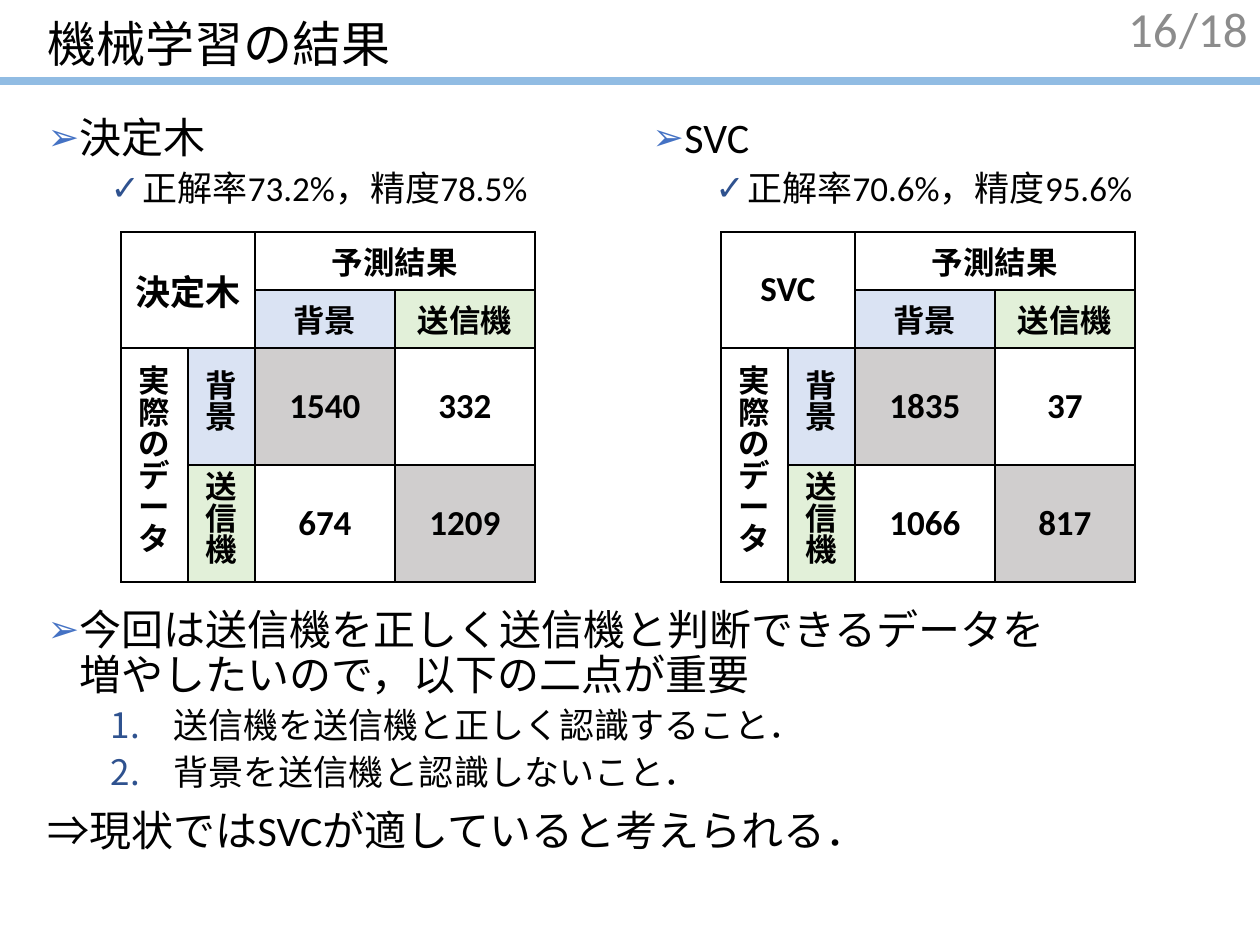
"""Build the slide that compares two classifiers by their confusion matrices."""
from lxml.etree import SubElement
from pptx import Presentation
from pptx.dml.color import RGBColor
from pptx.enum.lang import MSO_LANGUAGE_ID
from pptx.enum.shapes import MSO_CONNECTOR
from pptx.enum.text import MSO_ANCHOR, MSO_AUTO_SIZE, PP_ALIGN
from pptx.oxml.ns import qn
from pptx.util import Emu, Pt

BLACK = RGBColor(0x00, 0x00, 0x00)
GRAY = RGBColor(0x8C, 0x8C, 0x8C)
RULE_BLUE = RGBColor(0x91, 0xBC, 0xE3)
ARROW_BLUE = RGBColor(0x44, 0x72, 0xC4)
CHECK_BLUE = RGBColor(0x2F, 0x52, 0x8F)
BACKGROUND_FILL = RGBColor(0xDA, 0xE3, 0xF3)
SENDER_FILL = RGBColor(0xE2, 0xF0, 0xD9)
HIT_FILL = RGBColor(0xD0, 0xCE, 0xCE)
FONT = "Calibri"

# kind: (level, text size, left margin, hanging indent, space before,
#        bullet tag, bullet attributes, bullet colour, bullet size)
LIST_STYLES = {
    "arrow": (0, 24, 32, 32, 10, "a:buChar", {"char": "➢"}, ARROW_BLUE, 90),
    "check": (1, 20, 95, 32, 5, "a:buChar", {"char": "✓"}, CHECK_BLUE, 100),
    "number": (1, 20, 126, 63, 5, "a:buAutoNum", {"type": "arabicPeriod"}, CHECK_BLUE, 100),
    "plain": (0, 24, 0, 0, 10, "a:buNone", {}, None, 100),
}


def px(n):
    """Turn pixels into EMU at 126 pixels to the inch."""
    return Emu(round(n * 914400 / 126))


def place(s, left, top, width, height):
    """Move and size a shape."""
    s.left, s.top, s.width, s.height = px(left), px(top), px(width), px(height)


def format_runs(p, size, color=BLACK, bold=False):
    """Format every run of a paragraph."""
    for r in p.runs:
        r.font.name, r.font.size, r.font.bold = FONT, Pt(size), bold
        r.font.color.rgb = color


def add_bullet(p, kind):
    """Give a paragraph the indents and bullet of a list kind."""
    _, _, margin, hanging, _, tag, attributes, color, size = LIST_STYLES[kind]
    pPr = p._p.get_or_add_pPr()
    pPr.set("marL", str(px(margin)))
    pPr.set("indent", str(-px(hanging)))
    if color is not None:
        SubElement(SubElement(pPr, qn("a:buClr")), qn("a:srgbClr"), val=str(color))
        SubElement(pPr, qn("a:buSzPct"), val=str(size * 1000))
        SubElement(pPr, qn("a:buFont"), typeface="Arial")
    SubElement(pPr, qn(tag), **attributes)


def fill_list(s, box, items):
    """Write (kind, text) items into a placed shape."""
    place(s, *box)
    tf = s.text_frame
    tf.word_wrap, tf.auto_size = True, MSO_AUTO_SIZE.NONE
    for i, (kind, text) in enumerate(items):
        p = tf.add_paragraph() if i else tf.paragraphs[0]
        level, size, _, _, before, *_ = LIST_STYLES[kind]
        p.text, p.level = text, level
        add_bullet(p, kind)
        p.line_spacing = 0.9
        p.space_before = Pt(before if i else 0)
        format_runs(p, size)


def set_title(s, text):
    """Write and format the slide title."""
    place(s, 35, 0, 1138, 93)
    tf = s.text_frame
    tf.text = text
    tf.vertical_anchor, tf.auto_size = MSO_ANCHOR.MIDDLE, MSO_AUTO_SIZE.NONE
    p = tf.paragraphs[0]
    p.alignment, p.line_spacing = PP_ALIGN.LEFT, 0.9
    format_runs(p, 28)


def add_page_text(slide, text, left, width):
    """Add a right-aligned part of the page number."""
    tf = slide.shapes.add_textbox(px(left), px(3), px(width), px(50)).text_frame
    tf.text = text
    tf.word_wrap, tf.vertical_anchor = True, MSO_ANCHOR.MIDDLE
    tf.paragraphs[0].alignment = PP_ALIGN.RIGHT
    format_runs(tf.paragraphs[0], 28, GRAY)


def add_rule(slide):
    """Draw the line under the title."""
    line = slide.shapes.add_connector(MSO_CONNECTOR.STRAIGHT, 0, px(81), px(1260), px(81))
    line.line.color.rgb, line.line.width = RULE_BLUE, Pt(4.5)
    SubElement(line._element.spPr, qn("a:effectLst"))


def style_cell(cell):
    """Clear a cell's fill and draw its four borders."""
    cell.fill.background()
    tcPr = cell._tc.get_or_add_tcPr()
    for i, side in enumerate(("lnL", "lnR", "lnT", "lnB")):
        ln = SubElement(tcPr, qn(f"a:{side}"), w=str(Pt(1)))
        SubElement(SubElement(ln, qn("a:solidFill")), qn("a:srgbClr"), val=str(BLACK))
        tcPr.insert(i, ln)


def set_cell(cell, text, size=18, fill=None):
    """Write a bold centred label or value into a cell."""
    cell.text = text
    cell.vertical_anchor = MSO_ANCHOR.MIDDLE
    p = cell.text_frame.paragraphs[0]
    p.alignment = PP_ALIGN.CENTER
    format_runs(p, size, bold=True)
    if fill is not None:
        cell.fill.solid()
        cell.fill.fore_color.rgb = fill


def set_vertical_cell(cell, text, fill=None):
    """Write a label that runs downwards, with tight pitch and narrow margins."""
    set_cell(cell, text, fill=fill)
    cell.margin_left = cell.margin_right = cell.margin_top = cell.margin_bottom = px(6)
    cell._tc.get_or_add_tcPr().set("vert", "eaVert")
    cell.text_frame._txBody.bodyPr.set("vert", "eaVert")
    p = cell.text_frame.paragraphs[0]
    p.line_spacing = Pt(18)
    p.runs[0].font.language_id = MSO_LANGUAGE_ID.JAPANESE


def add_matrix(slide, left, name, counts):
    """Add a confusion matrix with predictions across and true classes down."""
    widths, heights = (67, 67, 140, 140), (58, 58, 117, 117)
    table = slide.shapes.add_table(
        4, 4, px(left), px(232), px(sum(widths)), px(sum(heights))).table
    table.first_row = table.horz_banding = False
    for column, width in zip(table.columns, widths):
        column.width = px(width)
    for row, height in zip(table.rows, heights):
        row.height = px(height)
    for cell in table.iter_cells():
        style_cell(cell)
    for first, last in (((0, 0), (1, 1)), ((0, 2), (0, 3)), ((2, 0), (3, 0))):
        table.cell(*first).merge(table.cell(*last))
    set_cell(table.cell(0, 0), name, 20)
    set_cell(table.cell(0, 2), "予測結果")
    set_vertical_cell(table.cell(2, 0), "実際のデータ")
    classes = (("背景", BACKGROUND_FILL), ("送信機", SENDER_FILL))
    for i, (label, fill) in enumerate(classes):
        set_cell(table.cell(1, 2 + i), label, fill=fill)
        set_vertical_cell(table.cell(2 + i, 1), label, fill)
        for j, count in enumerate(counts[i]):
            set_cell(table.cell(2 + i, 2 + j), str(count), 20, HIT_FILL if i == j else None)


def main():
    """Build and save the slide."""
    prs = Presentation()
    prs.slide_width, prs.slide_height = px(1260), px(945)
    slide = prs.slides.add_slide(prs.slide_layouts[3])
    add_rule(slide)
    add_page_text(slide, "/18", 1133, 127)
    add_page_text(slide, "16", 906, 284)
    set_title(slide.shapes.title, "機械学習の結果")
    fill_list(slide.placeholders[1], (35, 111, 580, 114),
              [("arrow", "決定木"), ("check", "正解率73.2%，精度78.5%")])
    fill_list(slide.shapes.add_textbox(0, 0, 0, 0), (640, 111, 580, 114),
              [("arrow", "SVC"), ("check", "正解率70.6%，精度95.6%")])
    fill_list(slide.placeholders[2], (35, 603, 1043, 270), [
        ("arrow", "今回は送信機を正しく送信機と判断できるデータを増やしたいので，以下の二点が重要"),
        ("number", "送信機を送信機と正しく認識すること．"),
        ("number", "背景を送信機と認識しないこと．"),
        ("plain", "⇒現状ではSVCが適していると考えられる．"),
    ])
    add_matrix(slide, 121, "決定木", ((1540, 332), (674, 1209)))
    add_matrix(slide, 721, "SVC", ((1835, 37), (1066, 817)))
    prs.save("out.pptx")


if __name__ == "__main__":
    main()
